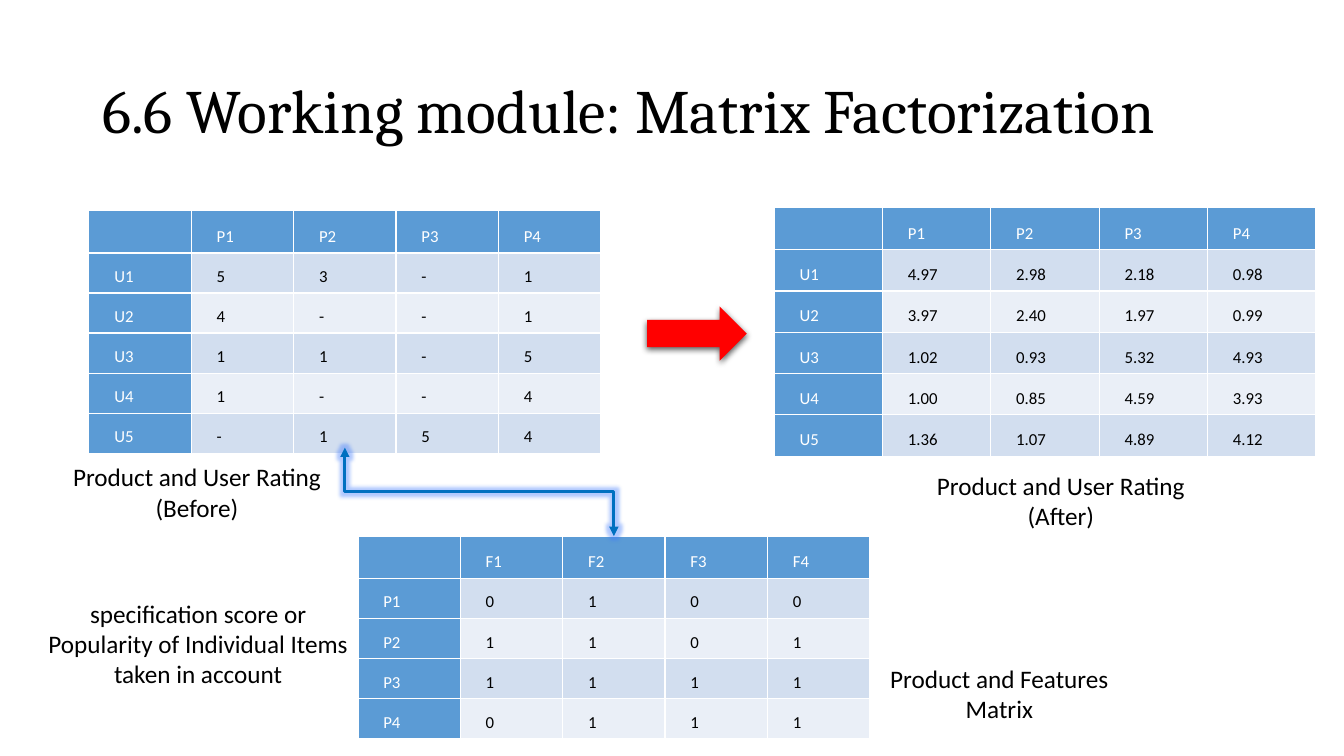
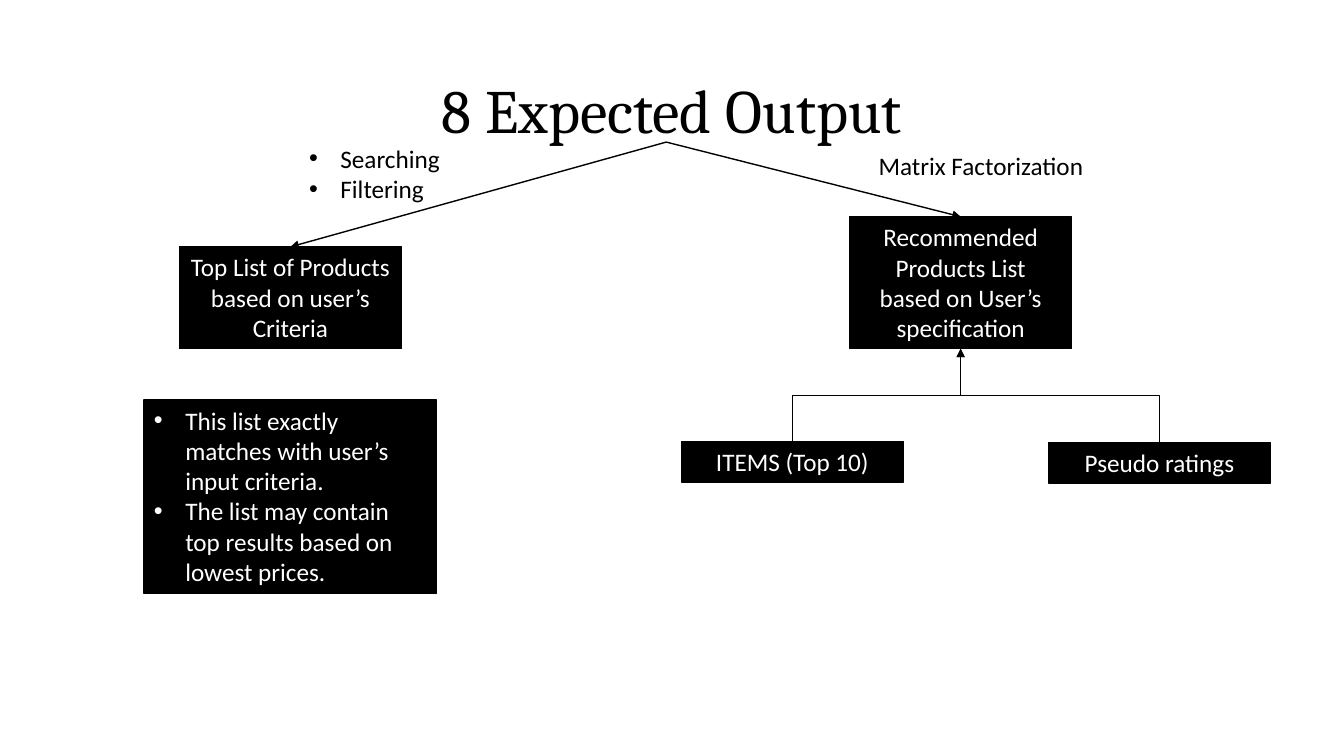
from dataclasses import dataclass

from pptx import Presentation
from pptx.dml.color import RGBColor
from pptx.enum.shapes import MSO_CONNECTOR, MSO_SHAPE
from pptx.enum.text import MSO_ANCHOR, MSO_AUTO_SIZE, PP_ALIGN
from pptx.oxml import parse_xml
from pptx.oxml.ns import nsdecls, qn
from pptx.oxml.xmlchemy import OxmlElement
from pptx.util import Cm, Pt


@dataclass(frozen=True)
class Theme:
    black: RGBColor = RGBColor(0x00, 0x00, 0x00)
    white: RGBColor = RGBColor(0xFF, 0xFF, 0xFF)
    header: RGBColor = RGBColor(0x5B, 0x9B, 0xD5)
    bands: tuple = (RGBColor(0xD2, 0xDE, 0xEF), RGBColor(0xEA, 0xEF, 0xF7))
    red: RGBColor = RGBColor(0xFF, 0x00, 0x00)
    link: RGBColor = RGBColor(0x00, 0x70, 0xC0)
    glow: RGBColor = RGBColor(0x3C, 0x78, 0xFF)
    title_font: str = "Cambria"
    body_font: str = "Calibri"
    title_size: int = 44
    body_size: int = 18
    cell_size: int = 12


class Deck:
    def __init__(self, theme):
        self.theme = theme
        self.presentation = Presentation()
        self.presentation.slide_width = Cm(33.87)
        self.presentation.slide_height = Cm(19.05)
        self.slide = None

    def add_slide(self, title, align=PP_ALIGN.LEFT):
        blank = self.presentation.slide_layouts[6]
        self.slide = self.presentation.slides.add_slide(blank)
        heading = self.slide.shapes.add_textbox(Cm(2.33), Cm(1.01), Cm(29.21), Cm(3.68))
        frame = heading.text_frame
        frame.word_wrap = True
        frame.vertical_anchor = MSO_ANCHOR.MIDDLE
        self.add_lines(frame, [title], self.theme.black, align,
                       size=self.theme.title_size, font=self.theme.title_font)
        frame.paragraphs[0].line_spacing = 0.9

    def add_lines(self, frame, lines, color, align=PP_ALIGN.LEFT, bulleted=False,
                  size=None, font=None):
        for index, line in enumerate(lines):
            paragraph = frame.add_paragraph() if index else frame.paragraphs[0]
            paragraph.alignment = align
            if bulleted:
                self.add_bullet(paragraph)
            run = paragraph.add_run()
            run.text = line
            run.font.size = Pt(size or self.theme.body_size)
            run.font.name = font or self.theme.body_font
            run.font.bold = False
            run.font.color.rgb = color

    def add_bullet(self, paragraph):
        properties = paragraph._p.get_or_add_pPr()
        properties.set("marL", str(Cm(0.79)))
        properties.set("indent", str(-Cm(0.79)))
        for tag, key, value in (("a:buFont", "typeface", "Arial"), ("a:buChar", "char", "•")):
            mark = OxmlElement(tag)
            mark.set(key, value)
            properties.append(mark)

    def label(self, left, top, width, height, lines, align=PP_ALIGN.CENTER, bulleted=False):
        caption = self.slide.shapes.add_textbox(Cm(left), Cm(top), Cm(width), Cm(height))
        caption.text_frame.word_wrap = False
        caption.text_frame.auto_size = MSO_AUTO_SIZE.SHAPE_TO_FIT_TEXT
        self.add_lines(caption.text_frame, lines, self.theme.black, align, bulleted)

    def shape(self, kind, left, top, width, height, fill):
        figure = self.slide.shapes.add_shape(kind, Cm(left), Cm(top), Cm(width), Cm(height))
        figure.shadow.inherit = False
        figure.fill.solid()
        figure.fill.fore_color.rgb = fill
        return figure

    def box(self, left, top, width, height, lines, align=PP_ALIGN.CENTER, bulleted=False):
        panel = self.shape(MSO_SHAPE.RECTANGLE, left, top, width, height, self.theme.black)
        panel.line.color.rgb = self.theme.black
        panel.line.width = Pt(1)
        frame = panel.text_frame
        frame.word_wrap = True
        frame.auto_size = MSO_AUTO_SIZE.SHAPE_TO_FIT_TEXT
        frame.vertical_anchor = MSO_ANCHOR.TOP
        self.add_lines(frame, lines, self.theme.white, align, bulleted)

    def block_arrow(self, left, top, width, height):
        arrow = self.shape(MSO_SHAPE.RIGHT_ARROW, left, top, width, height, self.theme.red)
        arrow.line.fill.background()
        arrow._element.spPr.find(qn("a:effectLst")).append(parse_xml(
            f'<a:outerShdw {nsdecls("a")} blurRad="{Pt(4.5)}" dist="{Pt(1.5)}" dir="5400000">'
            f'<a:srgbClr val="{self.theme.black}"><a:alpha val="63000"/></a:srgbClr>'
            '</a:outerShdw>'))

    def arrow(self, start, end, color=None, width=1, both_ends=False, bent=False, glowing=False):
        (x1, y1), (x2, y2) = start, end
        kind = MSO_CONNECTOR.STRAIGHT
        if bent:
            kind = MSO_CONNECTOR.ELBOW
            middle_x, middle_y = (x1 + x2) / 2, (y1 + y2) / 2
            half_run, half_rise = (x2 - x1) / 2, (y1 - y2) / 2
            x1, x2 = middle_x - half_rise, middle_x + half_rise
            y1, y2 = middle_y - half_run, middle_y + half_run
        connector = self.slide.shapes.add_connector(kind, Cm(x1), Cm(y1), Cm(x2), Cm(y2))
        connector.line.color.rgb = color or self.theme.black
        connector.line.width = Pt(width)
        properties = connector._element.spPr
        if bent:
            properties.find(qn("a:xfrm")).set("rot", "16200000")
        for tag in ("a:headEnd", "a:tailEnd") if both_ends else ("a:tailEnd",):
            tip = OxmlElement(tag)
            tip.set("type", "triangle")
            properties.find(qn("a:ln")).append(tip)
        effects = OxmlElement("a:effectLst")
        properties.append(effects)
        if glowing:
            effects.append(parse_xml(
                f'<a:glow {nsdecls("a")} rad="{Pt(5)}"><a:srgbClr val="{self.theme.glow}">'
                '<a:alpha val="40000"/></a:srgbClr></a:glow>'))

    def matrix(self, left, top, column_width, header_height, row_height, headings, records):
        rows = [["", *headings], *records]
        columns = len(rows[0])
        grid = self.slide.shapes.add_table(
            len(rows), columns, Cm(left), Cm(top), Cm(column_width * columns),
            Cm(header_height + row_height * len(records))).table
        grid.first_row = grid.horz_banding = False
        for column in grid.columns:
            column.width = Cm(column_width)
        for r, values in enumerate(rows):
            grid.rows[r].height = Cm(row_height if r else header_height)
            for c, value in enumerate(values):
                is_heading = r == 0 or c == 0
                fill = self.theme.header if is_heading else self.theme.bands[(r - 1) % 2]
                color = self.theme.white if is_heading else self.theme.black
                self.fill_cell(grid.cell(r, c), value, fill, color)

    def fill_cell(self, cell, value, fill, color):
        cell.margin_left = cell.margin_right = Cm(0.64)
        cell.margin_top = cell.margin_bottom = Cm(0.15)
        cell.vertical_anchor = MSO_ANCHOR.BOTTOM
        self.add_lines(cell.text_frame, [value], color, size=self.theme.cell_size)
        cell.text_frame.paragraphs[0].line_spacing = Pt(18)
        properties = cell._tc.get_or_add_tcPr()
        for side in "LRTB":
            properties.append(parse_xml(
                f'<a:ln{side} {nsdecls("a")} w="{Pt(1)}"><a:solidFill>'
                f'<a:srgbClr val="{self.theme.white}"/></a:solidFill></a:ln{side}>'))
        cell.fill.solid()
        cell.fill.fore_color.rgb = fill


def factorization_slide(deck):
    deck.add_slide("6.6 Working module: Matrix Factorization")
    products = ["P1", "P2", "P3", "P4"]
    deck.matrix(2.24, 5.31, 2.58, 0.94, 1.01, products, [
        ["U1", "5", "3", "-", "1"],
        ["U2", "4", "-", "-", "1"],
        ["U3", "1", "1", "-", "5"],
        ["U4", "1", "-", "-", "4"],
        ["U5", "-", "1", "5", "4"],
    ])
    deck.matrix(19.51, 5.23, 2.73, 1.04, 1.04, products, [
        ["U1", "4.97", "2.98", "2.18", "0.98"],
        ["U2", "3.97", "2.40", "1.97", "0.99"],
        ["U3", "1.02", "0.93", "5.32", "4.93"],
        ["U4", "1.00", "0.85", "4.59", "3.93"],
        ["U5", "1.36", "1.07", "4.89", "4.12"],
    ])
    deck.block_arrow(16.31, 7.72, 2.51, 1.37)
    deck.matrix(9.02, 13.51, 2.58, 0.94, 1.01, ["F1", "F2", "F3", "F4"], [
        ["P1", "0", "1", "0", "0"],
        ["P2", "1", "1", "0", "1"],
        ["P3", "1", "1", "1", "1"],
        ["P4", "0", "1", "1", "1"],
    ])
    deck.arrow((15.47, 13.51), (8.69, 11.28), deck.theme.link, 2.25,
               both_ends=True, bent=True, glowing=True)
    for left, top, stage in ((1.55, 11.51, "(Before)"), (23.32, 11.73, "(After)")):
        deck.label(left, top, 6.83, 1.8, ["Product and User Rating", stage])
    deck.label(22.15, 16.59, 6.07, 1.8, ["Product and Features", "Matrix"])
    deck.label(0.84, 14.94, 8.31, 2.57, [
        "specification score or", "Popularity of Individual Items", "taken in account"])


def output_slide(deck):
    deck.add_slide("8 Expected Output", PP_ALIGN.CENTER)
    box_width = 5.6
    deck.box(4.52, 6.22, box_width, 2.57, ["Top List of Products based on user’s Criteria"])
    deck.box(21.41, 5.46, box_width, 3.33, [
        "Recommended", "Products List", "based on User’s specification"])
    deck.box(3.63, 10.08, 7.37, 4.88, [
        "This list exactly matches with user’s input criteria.",
        "The list may contain top results based on lowest prices.",
    ], PP_ALIGN.LEFT, bulleted=True)
    for left, top, ingredient in ((17.17, 11.13, "ITEMS (Top 10)"),
                                  (26.42, 11.15, "Pseudo ratings")):
        deck.box(left, top, box_width, 1.02, [ingredient])
        deck.arrow((left + box_width / 2, top), (24.21, 8.79), bent=True)
    for branch in ((7.32, 6.22), (24.21, 5.46)):
        deck.arrow((16.79, 3.58), branch)
    deck.label(7.54, 3.48, 3.84, 1.8, ["Searching", "Filtering"], PP_ALIGN.LEFT, bulleted=True)
    deck.label(21.89, 3.66, 5.72, 1.02, ["Matrix Factorization"], PP_ALIGN.LEFT)


def main():
    deck = Deck(Theme())
    factorization_slide(deck)
    output_slide(deck)
    deck.presentation.save("out.pptx")


if __name__ == "__main__":
    main()
